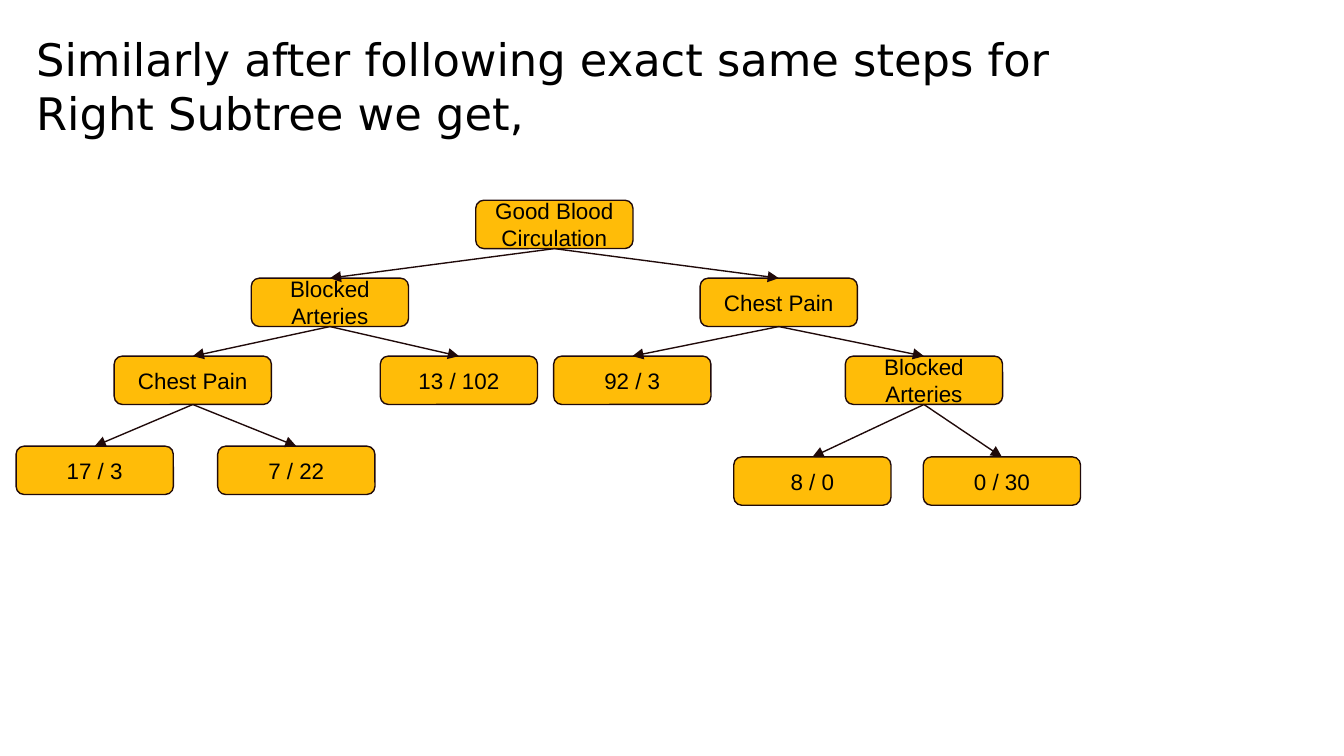
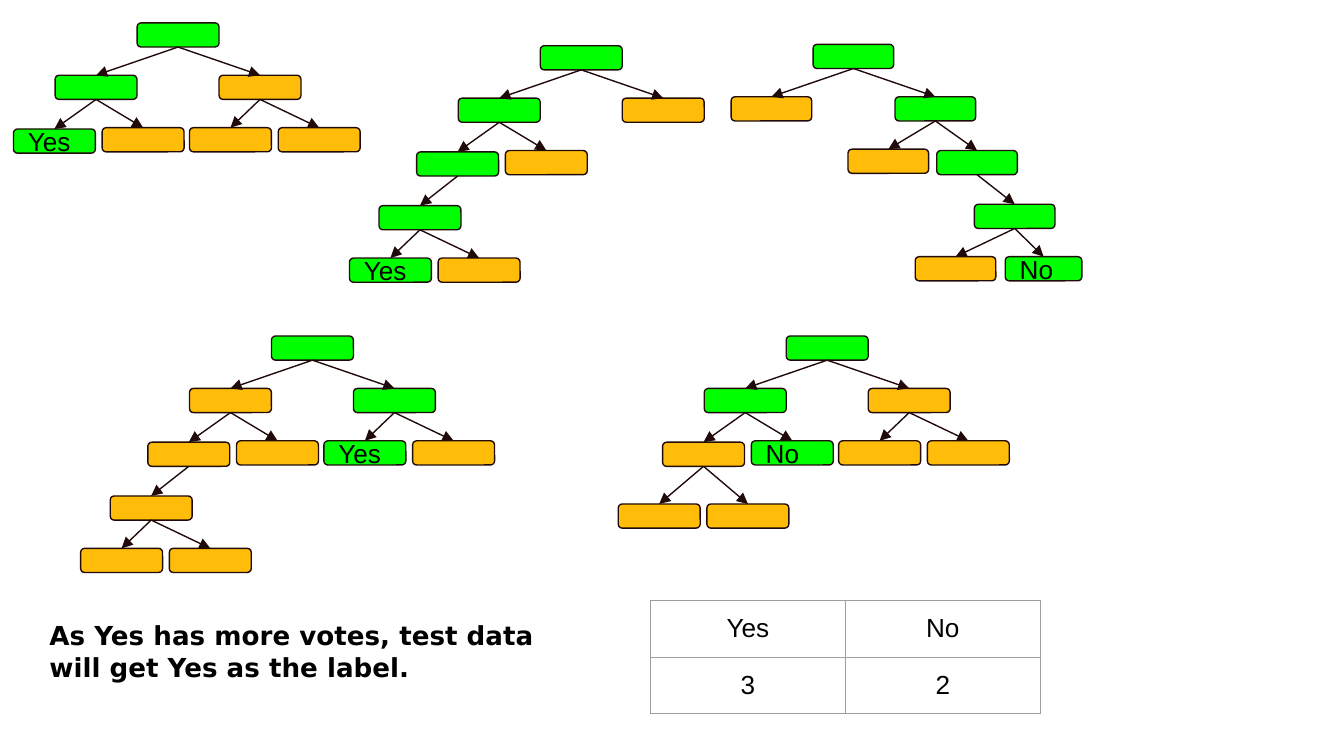
from dataclasses import dataclass

from lxml import etree
from pptx import Presentation
from pptx.dml.color import RGBColor
from pptx.enum.shapes import MSO_CONNECTOR, MSO_SHAPE
from pptx.enum.text import MSO_ANCHOR, PP_ALIGN
from pptx.oxml.ns import qn
from pptx.util import Pt

ROUNDED = MSO_SHAPE.ROUNDED_RECTANGLE
STRAIGHT = MSO_CONNECTOR.STRAIGHT
MIDDLE = MSO_ANCHOR.MIDDLE
TOP = MSO_ANCHOR.TOP
LEFT = PP_ALIGN.LEFT
CENTER = PP_ALIGN.CENTER

# Shared look
EMU_PER_PX = 9144  # 100 px to the inch
BODY_FONT = "Arial"
HEADING_FONT = "DejaVu Sans"
BLACK = "000000"
AMBER = "FFBC08"
GREEN = "00FF00"
DARK = "200A0A"
GREY = "9E9E9E"
LINE_WIDTH = 0.75
INSET = 10
BOTTOM_SIDE, TOP_SIDE = 2, 0


@dataclass
class Node:
    """A tree box, placed by a (right, down) step from its parent."""
    step: tuple
    children: tuple = ()
    label: str = ""
    fill: str = AMBER
    width: int = 0


@dataclass
class TreeStyle:
    width: int
    height: int
    size: int
    align: int
    direction: int = 1  # -1 mirrors the tree


def node(step, *children, **options):
    return Node(step, children, **options)


def chosen(step, *children, **options):
    return Node(step, children, fill=GREEN, **options)


# Steps from parent to child in the vote trees
ROOT = (0, 0)
WIDE_LEFT, WIDE_RIGHT = (-61, 39), (61, 39)
NEAR_LEFT, NEAR_RIGHT = (-31, 40), (35, 39)
SINGLE = (-28, 40)
LEAF_LEFT, LEAF_RIGHT = (-22, 39), (44, 39)
LOW_LEFT, LOW_RIGHT = (-33, 46), (33, 46)


def px(length):
    return int(length * EMU_PER_PX)


def color(hex_string):
    return RGBColor.from_string(hex_string)


def write_text(frame, text, size, font=BODY_FONT, bold=False, align=LEFT,
               anchor=TOP, space_before=0):
    frame.word_wrap = True
    frame.vertical_anchor = anchor
    para = frame.paragraphs[0]
    para.alignment = align
    para.space_before = Pt(space_before)
    span = para.add_run()
    span.text = text
    span.font.name = font
    span.font.size = Pt(size)
    span.font.bold = bold
    span.font.color.rgb = color(BLACK)


def set_margins(target, side=INSET, upright=INSET):
    target.margin_left = target.margin_right = px(side)
    target.margin_top = target.margin_bottom = px(upright)


def add_text_box(page, left, top, width, height, text, size, upright=INSET, **style):
    box = page.shapes.add_textbox(px(left), px(top), px(width), px(height))
    set_margins(box.text_frame, upright=upright)
    write_text(box.text_frame, text, size, **style)


def add_node_box(page, item, left, top, width, style):
    box = page.shapes.add_shape(ROUNDED, px(left), px(top), px(width), px(style.height))
    box.shadow.inherit = False
    box.fill.solid()
    box.fill.fore_color.rgb = color(item.fill)
    box.line.color.rgb = color(DARK)
    box.line.width = Pt(LINE_WIDTH)
    if item.label:
        set_margins(box.text_frame)
        write_text(box.text_frame, item.label, style.size, align=style.align, anchor=MIDDLE)
    return box


def add_arrow(page, parent, child):
    arrow = page.shapes.add_connector(STRAIGHT, 0, 0, 0, 0)
    arrow.begin_connect(parent, BOTTOM_SIDE)
    arrow.end_connect(child, TOP_SIDE)
    arrow.line.color.rgb = color(DARK)
    arrow.line.width = Pt(LINE_WIDTH)
    properties = arrow.element.spPr
    etree.SubElement(properties.find(qn("a:ln")), qn("a:tailEnd"), type="triangle")
    etree.SubElement(properties, qn("a:effectLst"))


def draw_tree(page, item, left, top, style):
    width = item.width or style.width
    box = add_node_box(page, item, left, top, width, style)
    for child in item.children:
        right, down = child.step
        child_width = child.width or style.width
        child_left = left + (width - child_width) // 2 + style.direction * right
        child_box = draw_tree(page, child, child_left, top + down, style)
        add_arrow(page, box, child_box)
    return box


def set_cell_borders(cell):
    properties = cell._tc.get_or_add_tcPr()
    for side in ("lnL", "lnR", "lnT", "lnB"):
        line = etree.SubElement(properties, qn(f"a:{side}"), w=str(Pt(LINE_WIDTH)))
        fill = etree.SubElement(line, qn("a:solidFill"))
        etree.SubElement(fill, qn("a:srgbClr"), val=GREY)


def add_table(page, left, top, column_width, row_height, rows):
    columns = len(rows[0])
    table = page.shapes.add_table(len(rows), columns, px(left), px(top),
                                  px(column_width * columns),
                                  px(row_height * len(rows))).table
    table.first_row = False
    table.horz_banding = False
    for row_index, values in enumerate(rows):
        for column_index, value in enumerate(values):
            cell = table.cell(row_index, column_index)
            set_margins(cell)
            set_cell_borders(cell)
            cell.fill.background()
            write_text(cell.text_frame, value, 14, align=CENTER)


def add_page(deck):
    return deck.slides.add_slide(deck.slide_layouts[6])


# Slide 1: the finished decision tree
def build_decision_tree(deck):
    page = add_page(deck)
    add_text_box(page, 17, 19, 792, 94,
                 "Similarly after following exact same steps for Right Subtree we get,",
                 24, upright=5, font=HEADING_FONT, space_before=4.8)
    tree = node(
        ROOT,
        node((-167, 58),
             node((-102, 58),
                  node((-73, 67), label="17 / 3"),
                  node((77, 67), label="7 / 22"),
                  label="Chest Pain"),
             node((96, 58), label="13 / 102"),
             label="Blocked Arteries"),
        node((167, 58),
             node((-109, 58), label="92 / 3"),
             node((108, 58),
                  node((-83, 75), label="8 / 0"),
                  node((58, 75), label="0 / 30"),
                  label="Blocked Arteries"),
             label="Chest Pain"),
        label="Good Blood Circulation")
    draw_tree(page, tree, 354, 149, TreeStyle(117, 36, 12, CENTER))


def deep_tree(answer, width=0):
    return chosen(
        ROOT,
        chosen(WIDE_LEFT,
               chosen(NEAR_LEFT,
                      chosen(SINGLE,
                             chosen(LEAF_LEFT, label=answer, width=width),
                             node(LEAF_RIGHT))),
               node(NEAR_RIGHT)),
        node(WIDE_RIGHT))


# Slide 2: five trees vote on the label
def build_vote(deck):
    page = add_page(deck)
    style = TreeStyle(61, 18, 14, LEFT)
    mirrored = TreeStyle(60, 18, 14, LEFT, direction=-1)

    shallow = chosen(
        ROOT,
        chosen(WIDE_LEFT, chosen(NEAR_LEFT, label="Yes"), node(NEAR_RIGHT)),
        node(WIDE_RIGHT, node(LEAF_LEFT), node(LEAF_RIGHT)))
    right_path = chosen(
        ROOT,
        node(WIDE_LEFT,
             node(NEAR_LEFT, node(SINGLE, node(LEAF_LEFT), node(LEAF_RIGHT))),
             node(NEAR_RIGHT)),
        chosen(WIDE_RIGHT, chosen(LEAF_LEFT, label="Yes"), node(LEAF_RIGHT)))
    left_path = chosen(
        ROOT,
        chosen(WIDE_LEFT,
               node(NEAR_LEFT, node(LOW_LEFT), node(LOW_RIGHT)),
               chosen(NEAR_RIGHT, label="No")),
        node(WIDE_RIGHT, node(LEAF_LEFT), node(LEAF_RIGHT)))

    for tree, left, top, tree_style in (
            (shallow, 102, 17, style),
            (deep_tree("Yes"), 402, 34, style),
            (deep_tree("No", width=57), 605, 33, mirrored),
            (right_path, 202, 250, style),
            (left_path, 585, 250, style)):
        draw_tree(page, tree, left, top, tree_style)

    add_table(page, 484, 447, 145, 42, (("Yes", "No"), ("3", "2")))
    add_text_box(page, 27, 451, 417, 82,
                 "As Yes has more votes, test data will get Yes as the label.",
                 14, font=HEADING_FONT, bold=True)


def main():
    deck = Presentation()
    deck.slide_width = px(1000)
    deck.slide_height = deck.slide_width * 9 // 16
    build_decision_tree(deck)
    build_vote(deck)
    deck.save("out.pptx")


if __name__ == "__main__":
    main()
